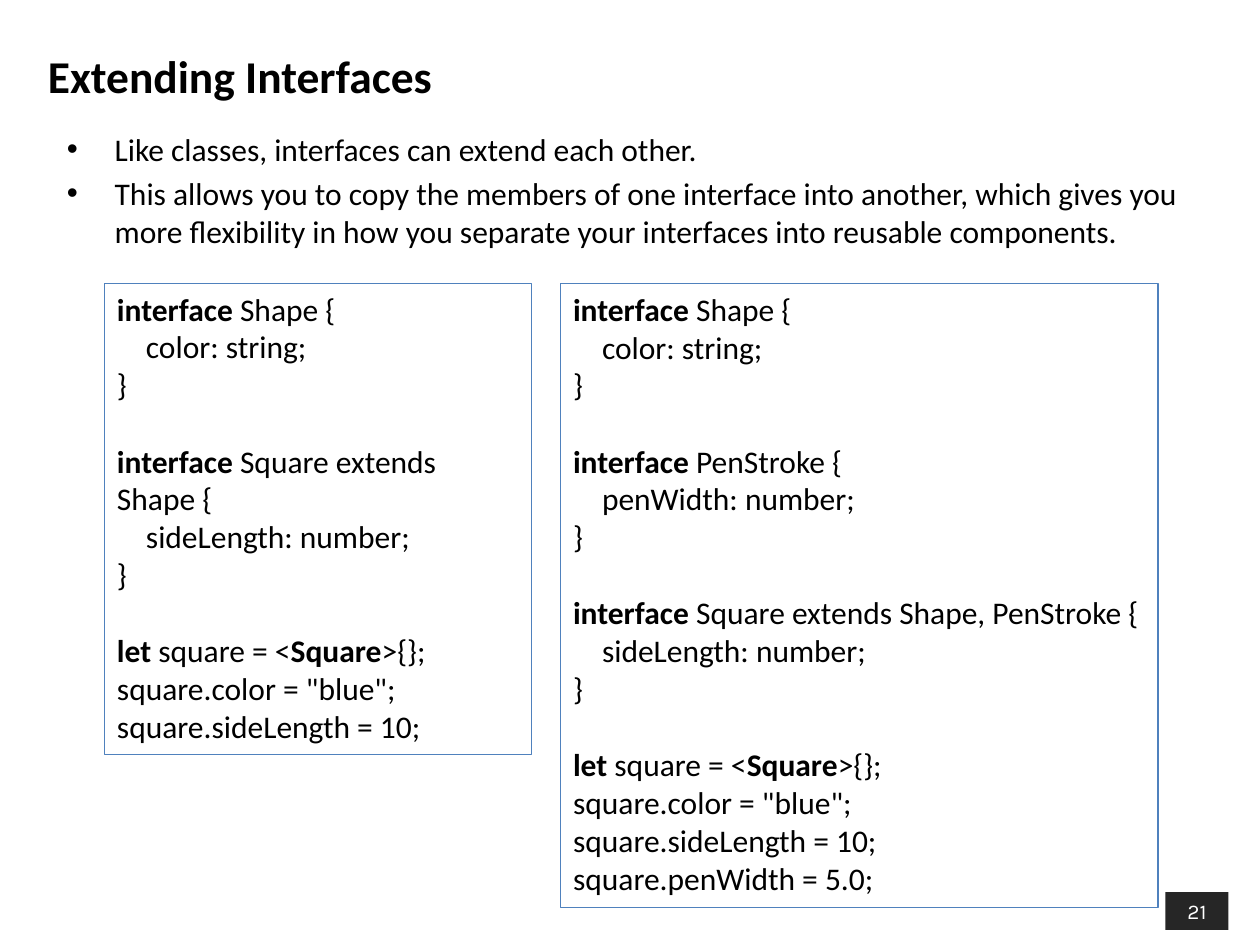
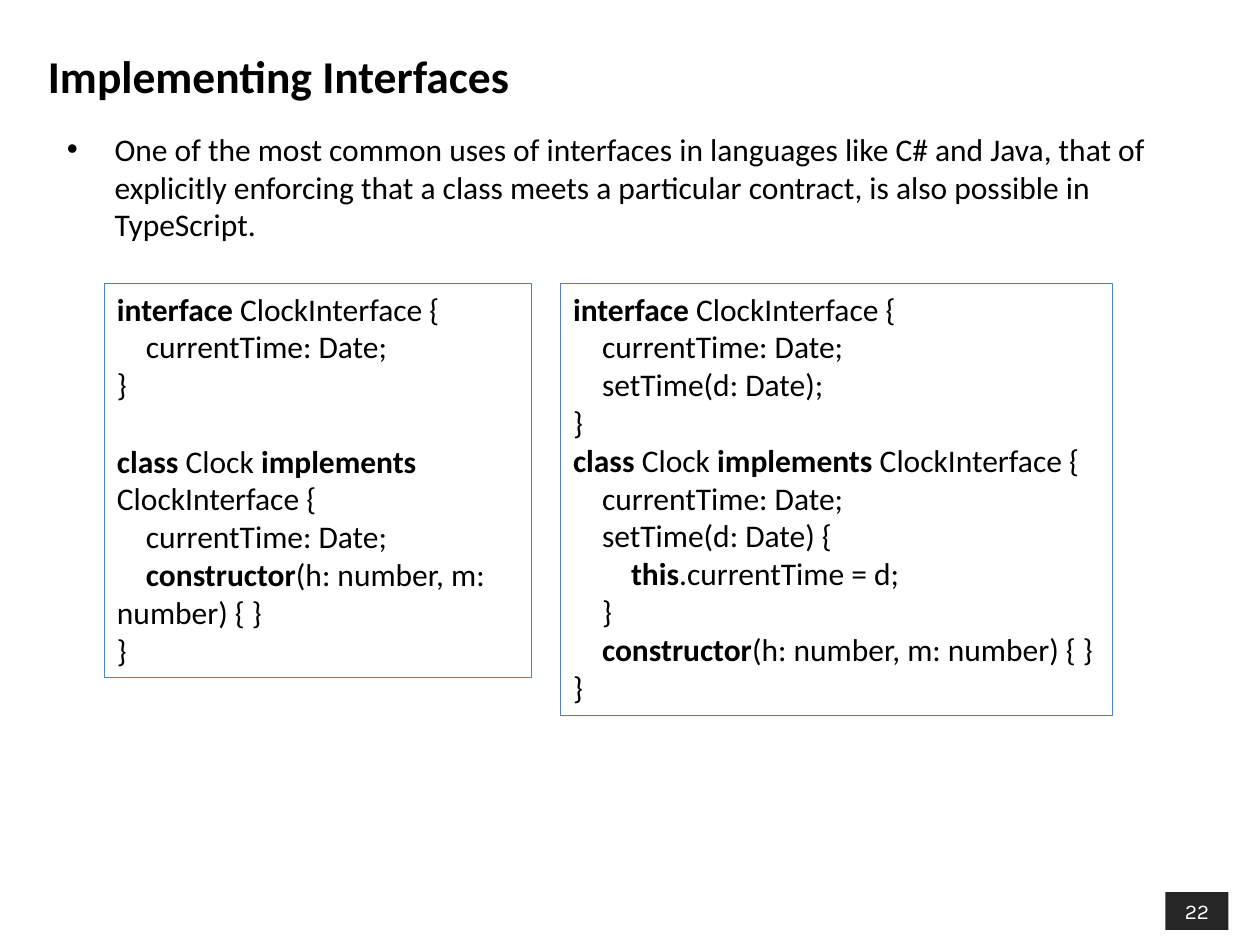
from dataclasses import dataclass

from pptx import Presentation
from pptx.dml.color import RGBColor
from pptx.enum.shapes import MSO_SHAPE
from pptx.enum.text import MSO_ANCHOR, MSO_AUTO_SIZE, PP_ALIGN
from pptx.util import Inches, Pt

RECTANGLE = MSO_SHAPE.RECTANGLE
LEFT, CENTER = PP_ALIGN.LEFT, PP_ALIGN.CENTER
TOP, MIDDLE = MSO_ANCHOR.TOP, MSO_ANCHOR.MIDDLE
FIXED, GROW = MSO_AUTO_SIZE.NONE, MSO_AUTO_SIZE.SHAPE_TO_FIT_TEXT


@dataclass(frozen=True)
class Theme:
    text: RGBColor = RGBColor(0, 0, 0)
    light: RGBColor = RGBColor(255, 255, 255)
    badge: RGBColor = RGBColor(0x26, 0x26, 0x26)
    border: RGBColor = RGBColor(0x4F, 0x81, 0xBD)
    font: str = "Calibri"
    badge_font: str = "Karla"
    title_size: int = 26
    body_size: int = 18
    badge_size: int = 12
    blank_line: int = 22
    code_indent: float = 0.23
    bullet_indent: float = 0.38


THEME = Theme()
TITLE_BOX = (0.28, 0.21, 7.94, 0.77)
BODY_BOX = (0.43, 0.98, 9.13, 1.04)
BADGE_BOX = (9.25, 7.08, 0.5, 0.3)
CODE_LEFT, CODE_TOP, CODE_GAP = 0.83, 2.25, 0.23
FIRST_NUMBER = 21

SLIDES = [
    {
        "title": "Extending Interfaces",
        "bullets": [
            "Like classes, interfaces can extend each other.",
            "This allows you to copy the members of one interface into another, "
            "which gives you more flexibility in how you separate your interfaces "
            "into reusable components.",
        ],
        "panels": [
            (3.39, 3.74, True, """**interface** Shape {
    color: string;
}

**interface** Square extends Shape {
    sideLength: number;
}

**let** square = <**Square**>{};
square.color = "blue";
square.sideLength = 10;"""),
            (4.74, 4.95, False, """**interface** Shape {
    color: string;
}

**interface** PenStroke {
    penWidth: number;
}

**interface** Square extends Shape, PenStroke {
    sideLength: number;
}

**let** square = <**Square**>{};
square.color = "blue";
square.sideLength = 10;
square.penWidth = 5.0;"""),
        ],
    },
    {
        "title": "Implementing Interfaces",
        "bullets": [
            "One of the most common uses of interfaces in languages like C# and Java, "
            "that of explicitly enforcing that a class meets a particular contract, "
            "is also possible in TypeScript.",
        ],
        "panels": [
            (3.39, 3.13, True, """**interface** ClockInterface {
    currentTime: Date;
}

**class** Clock **implements** ClockInterface {
    currentTime: Date;
    **constructor**(h: number, m: number) { }
}"""),
            (4.38, 3.43, False, """**interface** ClockInterface {
    currentTime: Date;
    setTime(d: Date);
}
**class** Clock **implements** ClockInterface {
    currentTime: Date;
    setTime(d: Date) {
        **this**.currentTime = d;
    }
    **constructor**(h: number, m: number) { }
}"""),
        ],
    },
]


def write_text(paragraph, text, *, size=THEME.body_size, font=THEME.font,
               color=THEME.text, bold=False, align=LEFT, margin=0, indent=0,
               before=None):
    paragraph.alignment = align
    if before is not None:
        paragraph.space_before = Pt(before)
    properties = paragraph._p.get_or_add_pPr()
    properties.set("marL", str(Inches(margin)))
    properties.set("indent", str(Inches(indent)))
    for position, part in enumerate(text.split("**")):
        if part:
            run = paragraph.add_run()
            run.text = part
            run.font.size = Pt(size)
            run.font.name = font
            run.font.color.rgb = color
            run.font.bold = bold or position % 2 == 1


def next_paragraph(frame, index):
    return frame.add_paragraph() if index else frame.paragraphs[0]


def place(shape, box):
    shape.left, shape.top, shape.width, shape.height = map(Inches, box)


def add_rectangle(slide, box):
    shape = slide.shapes.add_shape(RECTANGLE, *map(Inches, box))
    shape.shadow.inherit = False
    return shape


def fill_title(slide, box, text):
    title = slide.shapes.title
    place(title, box)
    title.text_frame.auto_size = FIXED
    title.text_frame.vertical_anchor = MIDDLE
    write_text(title.text_frame.paragraphs[0], text,
               size=THEME.title_size, bold=True)


def fill_bullets(slide, box, bullets):
    body = slide.placeholders[1]
    place(body, box)
    frame = body.text_frame
    frame.auto_size = FIXED
    frame.vertical_anchor = TOP
    for index, bullet in enumerate(bullets):
        write_text(next_paragraph(frame, index), bullet,
                   margin=THEME.bullet_indent, indent=-THEME.bullet_indent)


def add_code_panel(slide, box, code, wrap):
    panel = add_rectangle(slide, box)
    panel.fill.background()
    panel.line.color.rgb = THEME.border
    panel.line.width = Pt(0.75)
    frame = panel.text_frame
    frame.word_wrap = wrap
    frame.auto_size = GROW
    frame.vertical_anchor = TOP
    index = 0
    for block_index, block in enumerate(code.split("\n\n")):
        for line_index, line in enumerate(block.split("\n")):
            text = line.lstrip()
            level = (len(line) - len(text)) // 4
            starts_block = block_index > 0 and line_index == 0
            write_text(next_paragraph(frame, index), text,
                       indent=level * THEME.code_indent,
                       before=THEME.blank_line if starts_block else 0)
            index += 1


def add_page_badge(slide, box, number):
    badge = add_rectangle(slide, box)
    badge.fill.solid()
    badge.fill.fore_color.rgb = THEME.badge
    badge.line.fill.background()
    badge.text_frame.vertical_anchor = TOP
    badge.text_frame.auto_size = GROW
    write_text(badge.text_frame.paragraphs[0], str(number), align=CENTER,
               size=THEME.badge_size, font=THEME.badge_font, color=THEME.light)


def add_code_slide(presentation, number, title, bullets, panels):
    slide = presentation.slides.add_slide(presentation.slide_layouts[1])
    add_page_badge(slide, BADGE_BOX, number)
    fill_title(slide, TITLE_BOX, title)
    fill_bullets(slide, BODY_BOX, bullets)
    left = CODE_LEFT
    for width, height, wrap, code in panels:
        add_code_panel(slide, (left, CODE_TOP, width, height), code, wrap)
        left += width + CODE_GAP


def main():
    presentation = Presentation()
    presentation.slide_width = Inches(10)
    presentation.slide_height = Inches(7.5)
    for number, content in enumerate(SLIDES, FIRST_NUMBER):
        add_code_slide(presentation, number, **content)
    presentation.save("out.pptx")


if __name__ == "__main__":
    main()
